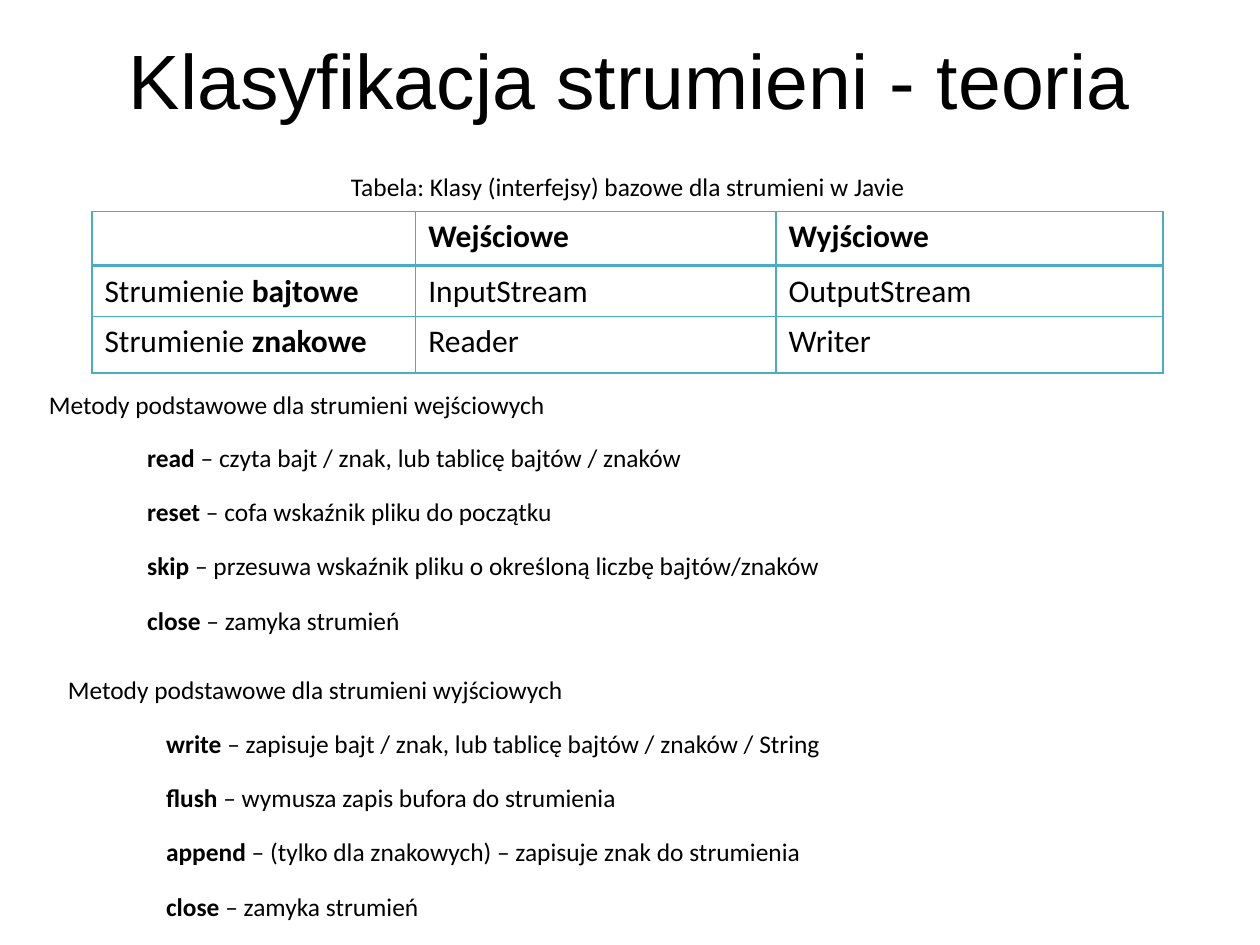
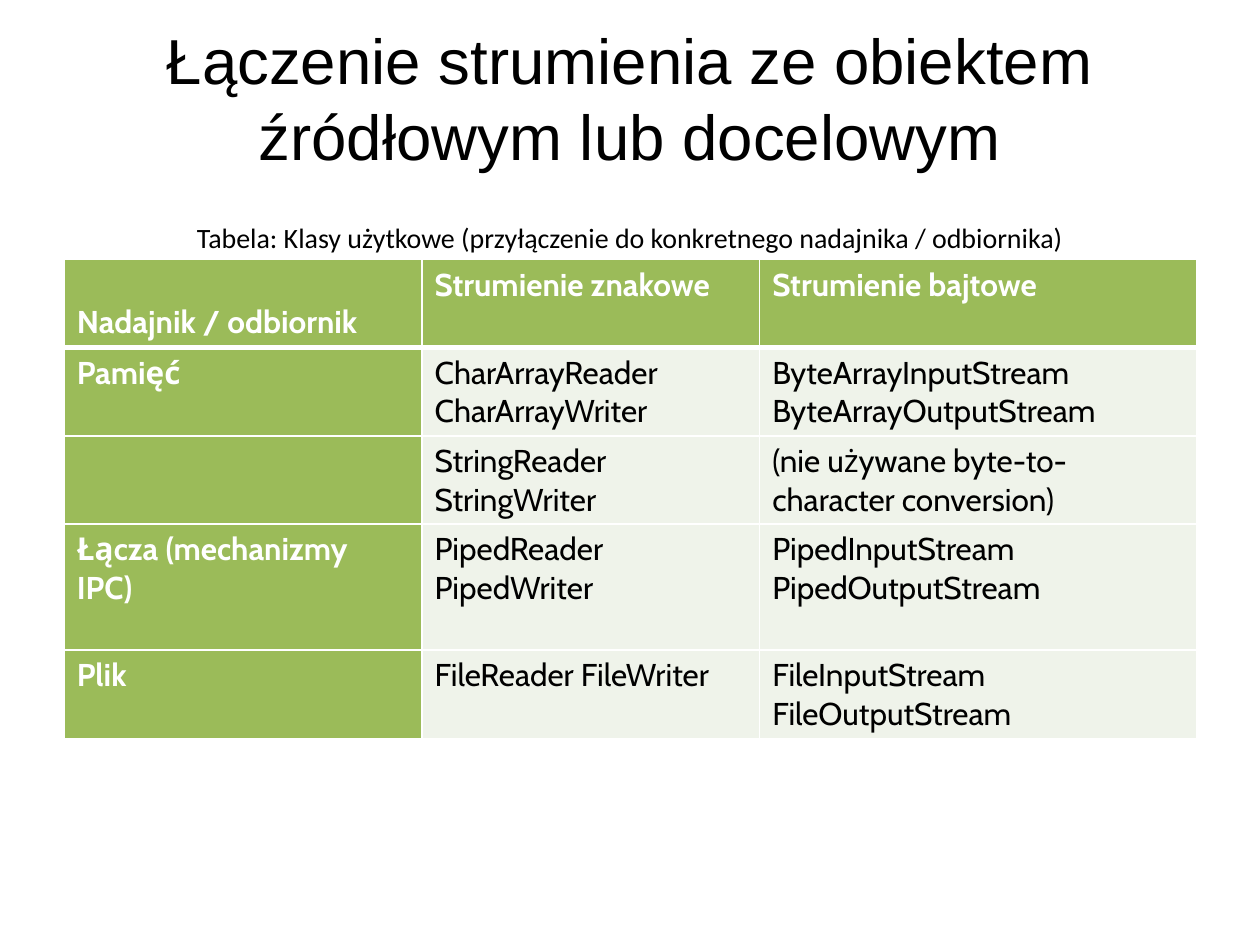
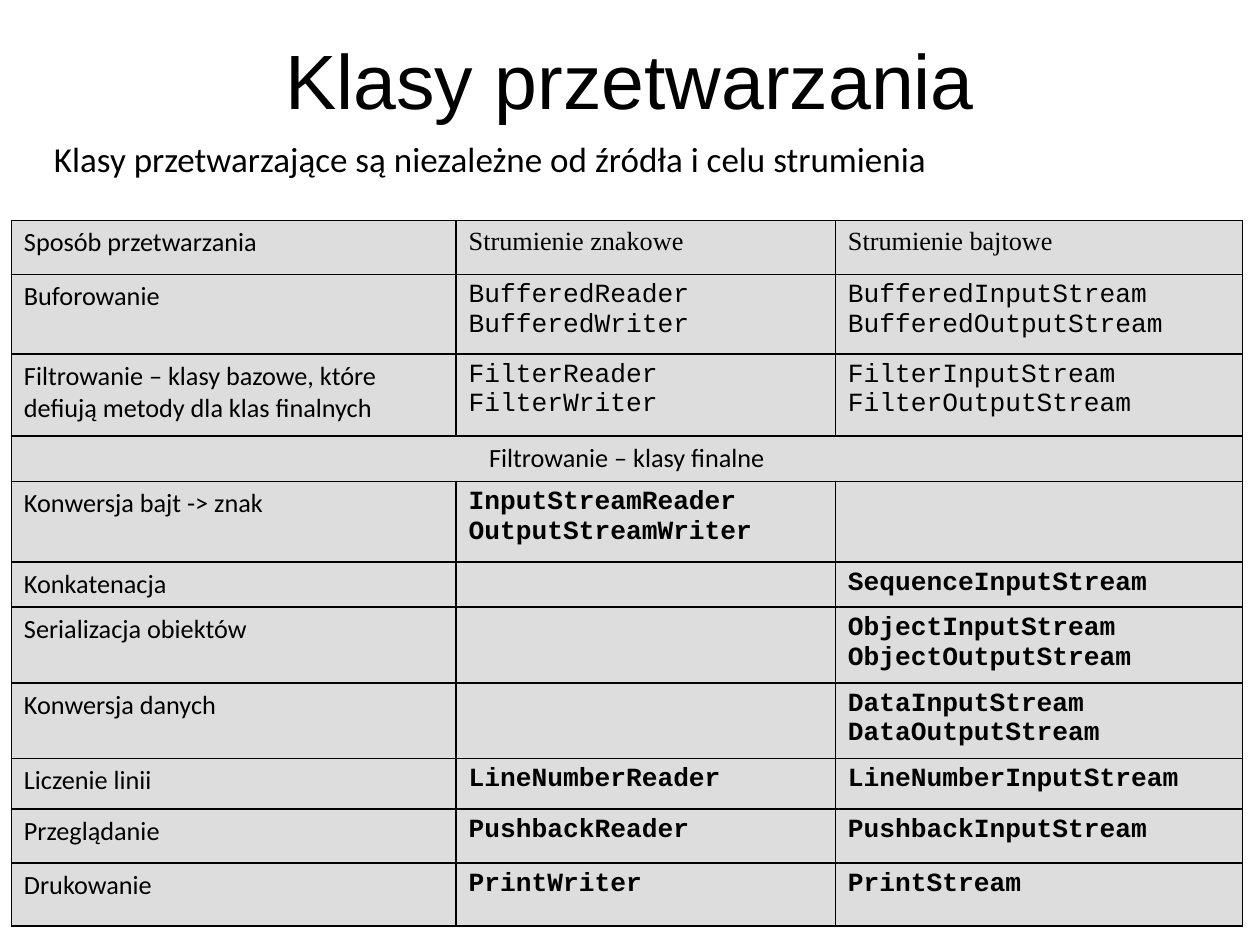
from lxml import etree
from pptx import Presentation
from pptx.dml.color import RGBColor
from pptx.enum import text
from pptx.oxml import ns
from pptx.util import Inches, Pt

BLACK = RGBColor(0x00, 0x00, 0x00)
WHITE = RGBColor(0xFF, 0xFF, 0xFF)
TEAL = RGBColor(0x4B, 0xAC, 0xC6)
GREEN = RGBColor(0x9B, 0xBB, 0x59)
PALE_GREEN = RGBColor(0xEF, 0xF3, 0xEA)
GRAY = RGBColor(0xDD, 0xDD, 0xDD)

LEFT = text.PP_ALIGN.LEFT
CENTER = text.PP_ALIGN.CENTER
JUSTIFY = text.PP_ALIGN.JUSTIFY
MIDDLE = text.MSO_ANCHOR.MIDDLE
BOTTOM = text.MSO_ANCHOR.BOTTOM

BODY = "Calibri"
METHOD_STEP = 0.43

BASE_CLASSES = [
    ["", "Wejściowe", "Wyjściowe"],
    ["Strumienie **bajtowe**", "InputStream", "OutputStream"],
    ["Strumienie **znakowe**", "Reader", "Writer"],
]
INPUT_METHODS = [
    "**read** – czyta bajt / znak, lub tablicę bajtów / znaków",
    "**reset** – cofa wskaźnik pliku do początku",
    "**skip** – przesuwa wskaźnik pliku o określoną liczbę bajtów/znaków",
    "**close** – zamyka strumień",
]
OUTPUT_METHODS = [
    "**write** – zapisuje bajt / znak, lub tablicę bajtów / znaków / String",
    "**flush** – wymusza zapis bufora do strumienia",
    "**append** – (tylko dla znakowych) – zapisuje znak do strumienia",
    "**close** – zamyka strumień",
]
ENDPOINT_CLASSES = [
    ["Nadajnik / odbiornik", "Strumienie znakowe", "Strumienie bajtowe"],
    ["Pamięć", "CharArrayReader\nCharArrayWriter",
     "ByteArrayInputStream\nByteArrayOutputStream"],
    ["", "StringReader\nStringWriter",
     "(nie używane byte-to-character conversion)"],
    ["Łącza (mechanizmy IPC)", "PipedReader PipedWriter",
     "PipedInputStream\nPipedOutputStream"],
    ["Plik", "FileReader FileWriter", "FileInputStream\nFileOutputStream"],
]
PROCESSING_CLASSES = [
    ["Sposób przetwarzania", "Strumienie znakowe", "Strumienie bajtowe"],
    ["Buforowanie", "BufferedReader\nBufferedWriter",
     "BufferedInputStream\nBufferedOutputStream"],
    ["Filtrowanie – klasy bazowe, które defiują metody dla klas finalnych",
     "FilterReader\nFilterWriter", "FilterInputStream\nFilterOutputStream"],
    ["Filtrowanie – klasy finalne"],
    ["Konwersja bajt -> znak", "InputStreamReader\nOutputStreamWriter", ""],
    ["Konkatenacja", "", "SequenceInputStream"],
    ["Serializacja obiektów", "", "ObjectInputStream\nObjectOutputStream"],
    ["Konwersja danych", "", "DataInputStream\nDataOutputStream"],
    ["Liczenie linii", "LineNumberReader", "LineNumberInputStream"],
    ["Przeglądanie", "PushbackReader", "PushbackInputStream"],
    ["Drukowanie", "PrintWriter", "PrintStream"],
]


def base_style(row, column):
    return {"bold": row == 0, "align": JUSTIFY}, None


def endpoint_style(row, column):
    heading = row == 0 or column == 0
    style = {"font": "Cabin", "bold": heading,
             "color": WHITE if heading else BLACK}
    return style, GREEN if heading else PALE_GREEN


def processing_style(row, column):
    if column == 0:
        font = BODY
    else:
        font = "Times New Roman" if row == 0 else "Courier New"
    return {"font": font, "bold": row > 3 and column > 0}, GRAY


class Slides:
    def __init__(self):
        self.deck = Presentation()
        self.deck.slide_width = Inches(10)
        self.deck.slide_height = Inches(7.5)
        self.page = None

    def start(self, title, size=44, height=1.25):
        self.page = self.deck.slides.add_slide(self.deck.slide_layouts[6])
        self.label(title, 0.75, 0, 8.5, height, size, CENTER, MIDDLE, "Arial")

    def set_text(self, frame, words, size, align=LEFT, font=BODY, color=BLACK,
                 bold=False):
        for index, line in enumerate(words.split("\n")):
            para = frame.add_paragraph() if index else frame.paragraphs[0]
            para.alignment = align
            para.font.name = font
            para.font.size = Pt(size)
            para.font.color.rgb = color
            para.font.bold = bold
            for part, piece in enumerate(line.split("**")):
                if piece:
                    span = para.add_run()
                    span.text = piece
                    if part % 2:
                        span.font.bold = True

    def label(self, words, left, top, width, height, size=14.5, align=JUSTIFY,
              anchor=text.MSO_ANCHOR.TOP, font=BODY):
        box = self.page.shapes.add_textbox(
            Inches(left), Inches(top), Inches(width), Inches(height))
        frame = box.text_frame
        frame.word_wrap = True
        frame.vertical_anchor = anchor
        self.set_text(frame, words, size, align, font)

    def methods(self, heading, lines, left, top, indent, first):
        self.label(heading, left, top, 9.14, 0.35)
        for index, line in enumerate(lines):
            self.label(line, left + indent, first + index * METHOD_STEP,
                       7.14, 0.35)

    def border(self, cell, color, widths):
        properties = cell._tc.get_or_add_tcPr()
        for side, width in zip("LRTB", widths):
            line = etree.SubElement(properties, ns.qn(f"a:ln{side}"),
                                    w=str(Pt(width)))
            fill = etree.SubElement(line, ns.qn("a:solidFill"))
            etree.SubElement(fill, ns.qn("a:srgbClr"), val=str(color))

    def table(self, rows, left, top, widths, heights, size, cell_style,
              line_color, header_line=1):
        frame = self.page.shapes.add_table(
            len(rows), len(widths), Inches(left), Inches(top),
            Inches(sum(widths)), Inches(sum(heights)))
        table = frame.table
        table.first_row = False
        table.horz_banding = False
        for column, width in zip(table.columns, widths):
            column.width = Inches(width)
        for row, (words, height) in enumerate(zip(rows, heights)):
            table.rows[row].height = Inches(height)
            merged = len(words) == 1
            if merged:
                table.cell(row, 0).merge(table.cell(row, len(widths) - 1))
            for column in range(len(widths)):
                cell = table.cell(row, column)
                style, fill = cell_style(row, column)
                self.border(cell, line_color,
                            (1, 1, header_line if row == 1 else 1,
                             header_line if row == 0 else 1))
                if fill is None:
                    cell.fill.background()
                else:
                    cell.fill.solid()
                    cell.fill.fore_color.rgb = fill
                if merged:
                    style["align"] = CENTER
                content = words[column] if column < len(words) else ""
                if not content:
                    cell.margin_top = cell.margin_bottom = 0
                self.set_text(cell.text_frame, content, size, **style)
        return table


def main():
    slides = Slides()

    slides.start("Klasyfikacja strumieni - teoria")
    slides.label("Tabela: Klasy (interfejsy) bazowe dla strumieni w Javie",
                 0.73, 1.31, 8.5, 0.35, align=CENTER)
    slides.table(BASE_CLASSES, 0.73, 1.68, [2.57, 2.86, 3.07],
                 [0.43, 0.4, 0.45], 18, base_style, TEAL, 2)
    slides.methods("Metody podstawowe dla strumieni wejściowych",
                   INPUT_METHODS, 0.29, 3.04, 0.78, 3.46)
    slides.methods("Metody podstawowe dla strumieni wyjściowych",
                   OUTPUT_METHODS, 0.44, 5.3, 0.78, 5.73)

    slides.start("Łączenie strumienia ze obiektem źródłowym lub docelowym",
                 36.3, 1.54)
    slides.label("Tabela: Klasy użytkowe (przyłączenie do konkretnego "
                 "nadajnika / odbiornika)",
                 0.51, 1.7, 8.98, 0.37, 16, CENTER, MIDDLE)
    endpoints = slides.table(ENDPOINT_CLASSES, 0.51, 2.06, [2.84, 2.68, 3.47],
                             [0.7, 0.7, 0.7, 1, 0.7], 18, endpoint_style,
                             WHITE, 3)
    endpoints.cell(0, 0).vertical_anchor = BOTTOM

    slides.start("Klasy przetwarzania")
    slides.table(PROCESSING_CLASSES, 0.09, 1.75, [3.53, 3.01, 3.23],
                 [0.43, 0.63, 0.65, 0.36, 0.64, 0.36, 0.58, 0.58, 0.4, 0.43,
                  0.5], 15, processing_style, BLACK)
    slides.label("Klasy przetwarzające są niezależne od źródła i celu "
                 "strumienia", 0.33, 1.04, 9.45, 0.44, 20, LEFT)

    slides.deck.save("out.pptx")


if __name__ == "__main__":
    main()
